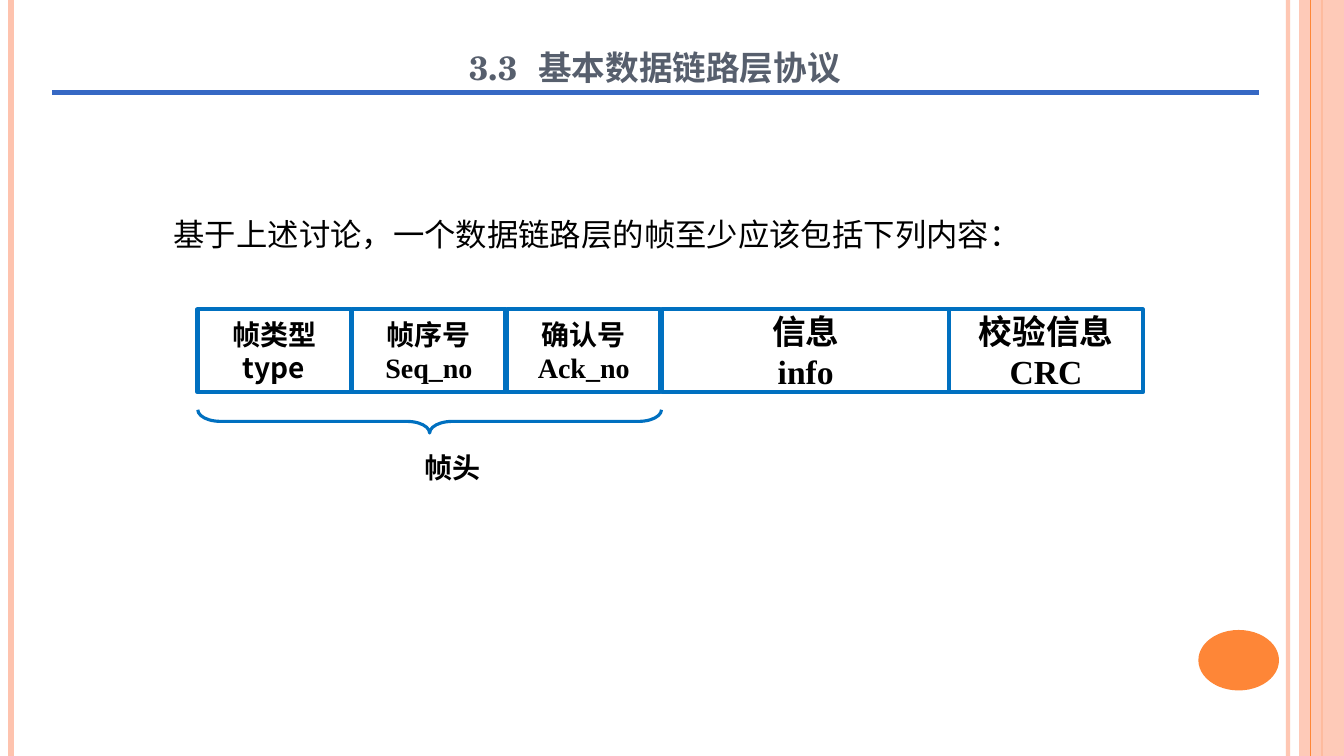
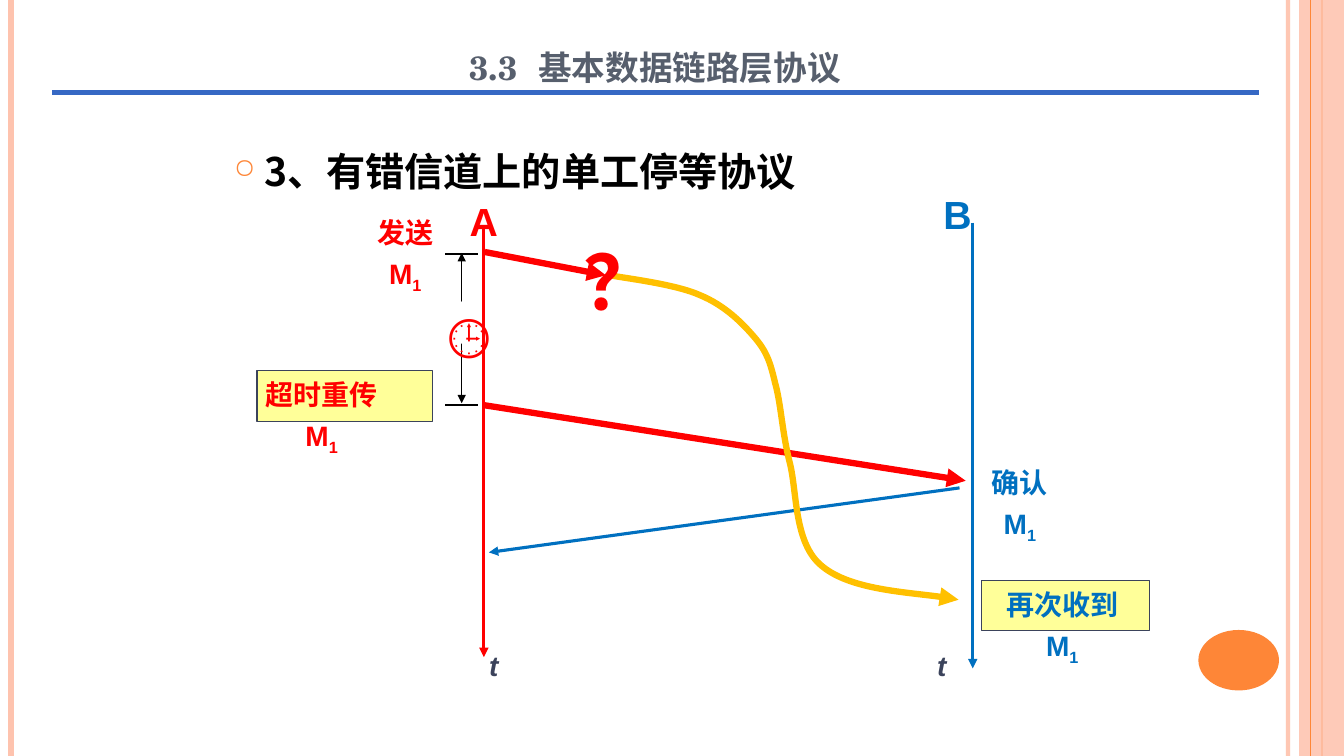
from lxml import etree
from pptx import Presentation
from pptx.dml.color import RGBColor
from pptx.enum import shapes, text
from pptx.oxml import ns
from pptx.util import Pt

COLOURS = {
    "peach": "FEC3AE", "orange": "FE8637", "rule": "3668C4", "title": "575F6D",
    "black": "000000", "white": "FFFFFF", "red": "FF0000", "blue": "0070C0",
    "yellow": "FFFF99", "navy": "3B435B", "amber": "FFC000",
}
RGB = {name: RGBColor.from_string(value) for name, value in COLOURS.items()}
CJK = "Noto Sans CJK SC"
CENTER, LEFT = text.PP_ALIGN.CENTER, text.PP_ALIGN.LEFT
TOP, MIDDLE, BOTTOM = text.MSO_ANCHOR.TOP, text.MSO_ANCHOR.MIDDLE, text.MSO_ANCHOR.BOTTOM
KIND = shapes.MSO_SHAPE


def add_line(slide, start, end, colour, width, ends=()):
    connector = slide.shapes.add_connector(
        shapes.MSO_CONNECTOR.STRAIGHT, *[Pt(value) for value in (*start, *end)])
    connector.line.color.rgb = RGB[colour]
    connector.line.width = Pt(width)
    for end_name in ends:
        etree.SubElement(connector.line._ln, ns.qn(f"a:{end_name}"), type="triangle")
    etree.SubElement(connector._element.spPr, ns.qn("a:effectLst"))
    return connector


def add_box(slide, box, lines=(), size=20, colour="black", font="Arial", kind=None,
            fill=None, outline=None, align=CENTER, anchor=TOP, spacing=1.0,
            bold=True, italic=False):
    place = [Pt(value) for value in box]
    if kind is None:
        shape = slide.shapes.add_textbox(*place)
    else:
        shape = slide.shapes.add_shape(kind, *place)
        shape.shadow.inherit = False
        if fill:
            shape.fill.solid()
            shape.fill.fore_color.rgb = RGB[fill]
        else:
            shape.fill.background()
        if outline:
            shape.line.color.rgb = RGB[outline[0]]
            shape.line.width = Pt(outline[1])
        else:
            shape.line.fill.background()
    frame = shape.text_frame
    frame.word_wrap = True
    frame.vertical_anchor = anchor
    frame.margin_left = frame.margin_right = frame.margin_top = frame.margin_bottom = 0
    for index, line in enumerate(lines):
        paragraph = frame.paragraphs[0] if index == 0 else frame.add_paragraph()
        paragraph.alignment = align
        paragraph.line_spacing = spacing
        base, subscript, _ = line.partition("₁")
        paragraph.text = base
        if subscript:
            run = paragraph.add_run()
            run.text = "1"
            run._r.get_or_add_rPr().set("baseline", "-25000")
        for run in paragraph.runs:
            run.font.size = Pt(size)
            run.font.bold = bold
            run.font.italic = italic
            run.font.color.rgb = RGB[colour]
            run.font.name = font
            etree.SubElement(run._r.rPr, ns.qn("a:ea"), typeface=CJK)
    return shape


presentation = Presentation()
presentation.slide_width, presentation.slide_height = Pt(960), Pt(540)
slides = [presentation.slides.add_slide(presentation.slide_layouts[6]) for _ in range(2)]
frame_slide, protocol_slide = slides

for slide in slides:
    stripe = add_line(slide, (920, 0), (920, 540), "peach", 3)
    add_line(slide, (8, 0), (8, 540), "peach", 4.5)
    add_line(slide, (944, 0), (944, 540), "orange", 1.5)
    band = add_box(slide, (928, 0, 32, 540), kind=KIND.RECTANGLE, fill="peach")
    add_line(slide, (936, 0), (936, 540), "orange", 0.75)
    for shape, alpha in ((stripe, 93), (band, 87)):
        for colour in shape._element.spPr.iter(ns.qn("a:srgbClr")):
            etree.SubElement(colour, ns.qn("a:alpha"), val=str(alpha * 1000))
    add_box(slide, (856, 450, 57.6, 43.2), kind=KIND.OVAL, fill="orange")
    add_line(slide, (37.5, 66.2), (899.3, 66.2), "rule", 3.5)
    title = add_box(slide, (162, 0, 612, 62), ["3.3"], 24, "title", "TeX Gyre Schola",
                    anchor=BOTTOM)
    number = title.text_frame.paragraphs[0].runs[0]
    for words, tracking in ((" ", "800"), ("基本数据链路层协议", "0")):
        run = title.text_frame.paragraphs[0].add_run()
        run.text = words
        run.font.size, run.font.bold = number.font.size, True
        run.font.color.rgb = RGB["title"]
        run.font.name = number.font.name
        etree.SubElement(run._r.rPr, ns.qn("a:ea"), typeface=CJK)
        run._r.rPr.set("spc", tracking)

add_box(frame_slide, (124, 147, 740, 40),
        ["基于上述讨论，一个数据链路层的帧至少应该包括下列内容："],
        22.4, font=CJK, align=LEFT, anchor=MIDDLE, bold=False)
fields = [
    ("帧类型", "type", 20, CJK, 109.4, 1.2),
    ("帧序号", "Seq_no", 20, "Times New Roman", 109.4, 1.2),
    ("确认号", "Ack_no", 20, "Times New Roman", 109.4, 1.2),
    ("信息", "info", 24, "Times New Roman", 205.2, 0),
    ("校验信息", "CRC", 24, "Times New Roman", 138.2, 0),
]
left = 141.1
for name, code, size, font, width, gap in fields:
    add_box(frame_slide, (left, 221, width, 59.2), [name, code], size, font=font,
            kind=KIND.RECTANGLE, outline=("blue", 3), anchor=MIDDLE)
    left += width + gap
brace = add_box(frame_slide, (298.6, 135.4, 16.6, 331.2), kind=KIND.LEFT_BRACE,
                outline=("blue", 2.25))
brace.rotation = 270
brace.adjustments[0] = 0.98
add_box(frame_slide, (284, 317, 78, 36), ["帧头"], font=CJK, spacing=1.2)

heading = add_box(protocol_slide, (167, 105, 633, 42), ["3、有错信道上的单工停等协议"],
                  28, font=CJK, align=LEFT)
properties = heading.text_frame.paragraphs[0]._p.get_or_add_pPr()
properties.set("marL", str(Pt(21.6)))
properties.set("indent", str(-Pt(21.6)))
bullet_colour = etree.SubElement(properties, ns.qn("a:buClr"))
etree.SubElement(bullet_colour, ns.qn("a:srgbClr"), val=COLOURS["orange"])
etree.SubElement(properties, ns.qn("a:buSzPct"), val="70000")
etree.SubElement(properties, ns.qn("a:buChar"), char="○")

arrows = [
    ((345.6, 163.4), (345.6, 469.4), "red", 2.25),
    ((694.8, 159.1), (694.8, 477.4), "blue", 2.25),
    ((346.3, 180), (432.7, 196.6), "red", 4.5),
    ((345.6, 289.4), (689.8, 343.4), "red", 4.5),
    ((685.4, 348.5), (349.2, 394.6), "blue", 2.25),
]
for start, end, colour, width in arrows:
    add_line(protocol_slide, start, end, colour, width, ["tailEnd"])

for y in (181.4, 289.4):
    add_line(protocol_slide, (318.2, y), (341.3, y), "black", 1)
add_line(protocol_slide, (329.8, 180.7), (329.8, 288), "black", 1, ["headEnd", "tailEnd"])
add_box(protocol_slide, (313.9, 215.3, 30.2, 30.2), kind=KIND.OVAL, fill="white")

for box, name, colour in (((325.6, 134, 40, 44), "A", "red"),
                          ((664, 129, 40, 44), "B", "blue")):
    add_box(protocol_slide, box, [name], 28, colour, spacing=1.2)
add_box(protocol_slide, (305, 208, 60, 60), ["🕒"], 36, "red", spacing=1.2)
for x in (342, 662):
    add_box(protocol_slide, (x, 458.7, 21.6, 36), ["t"], colour="navy", italic=True,
            spacing=1.2)

for box, name, colour in (((250, 149, 79, 66), "发送", "red"),
                          ((689, 327.6, 79, 66), "确认", "blue")):
    add_box(protocol_slide, box, [name, "M₁"], colour=colour, spacing=1.2)
for box, name, colour, inset in (((183.6, 265, 125.3, 36), "超时重传", "red", 33),
                                 ((701.3, 414.7, 120, 36), "再次收到", "blue", 5)):
    notice = add_box(protocol_slide, box, [name, "M₁"], colour=colour, spacing=1.2,
                     kind=KIND.RECTANGLE, fill="yellow", outline=("navy", 0.75))
    notice.text_frame.margin_right = Pt(inset)

delay_points = [
    (446.4, 198.7), (483.1, 203), (500.4, 211), (517.7, 218.2), (529.9, 230.4),
    (538.6, 240.5), (547.9, 251.3), (550.1, 258.5), (553.7, 273.6), (558, 288.7),
    (558.7, 309.6), (564.5, 331.9), (569.5, 353.5), (567.4, 388.8), (587.5, 404.6),
    (607.7, 421.2), (663.8, 424.1), (684.7, 428.4),
]
builder = protocol_slide.shapes.build_freeform(Pt(435.6), Pt(196.6))
builder.add_line_segments([(Pt(x), Pt(y)) for x, y in delay_points], close=False)
delayed = builder.convert_to_shape()
delayed.shadow.inherit = False
delayed.fill.background()
delayed.line.color.rgb = RGB["amber"]
delayed.line.width = Pt(4.5)
etree.SubElement(delayed.line._ln, ns.qn("a:tailEnd"), type="triangle")
segments = list(delayed._element.iter(ns.qn("a:lnTo")))
outline = segments[0].getparent()
for first in range(0, len(segments), 3):
    curve = etree.SubElement(outline, ns.qn("a:cubicBezTo"))
    for segment in segments[first:first + 3]:
        curve.append(segment[0])
        outline.remove(segment)

add_box(protocol_slide, (414, 155, 60, 94), ["？"], 54, "red", "Times New Roman",
        spacing=1.2)

presentation.save("out.pptx")
